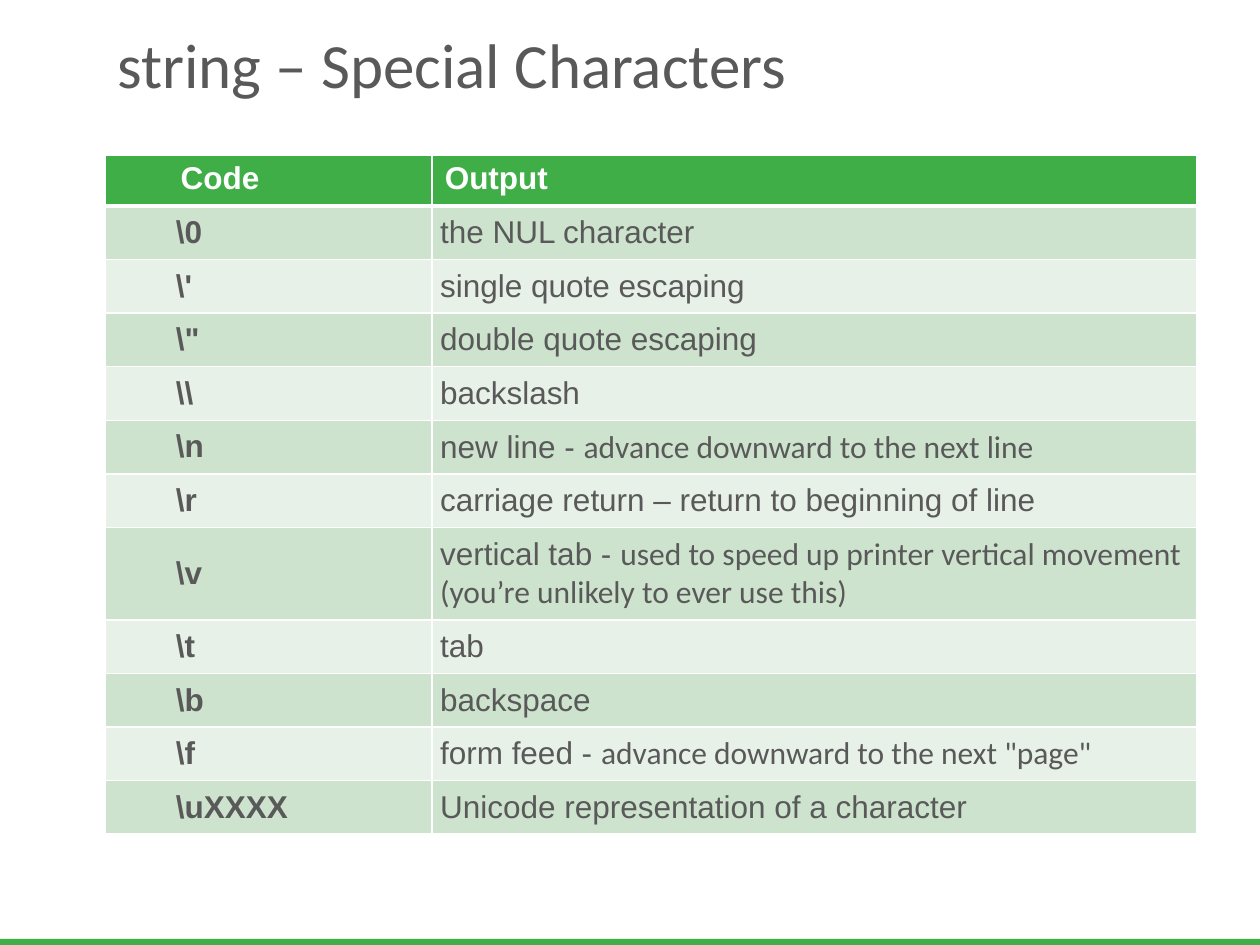
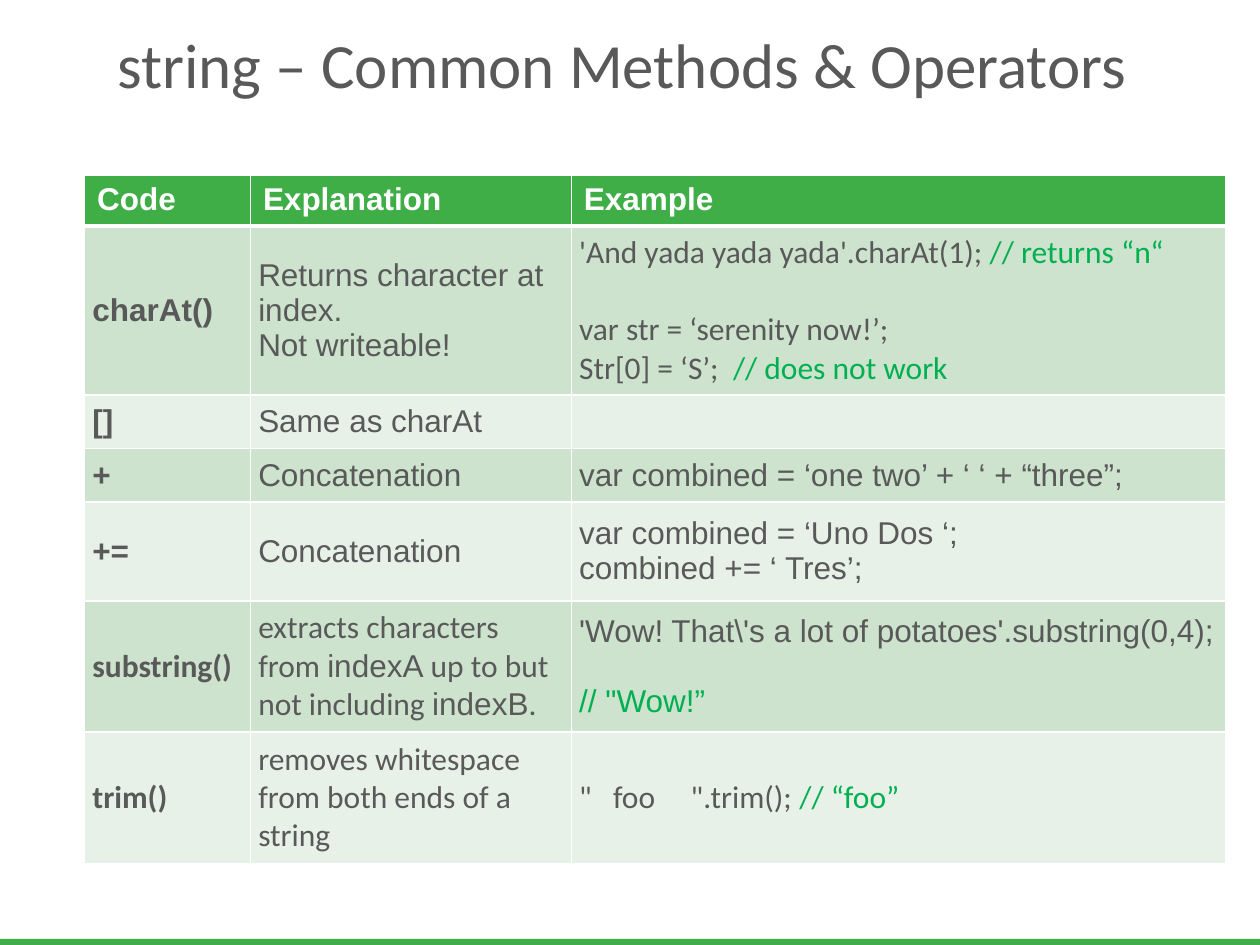
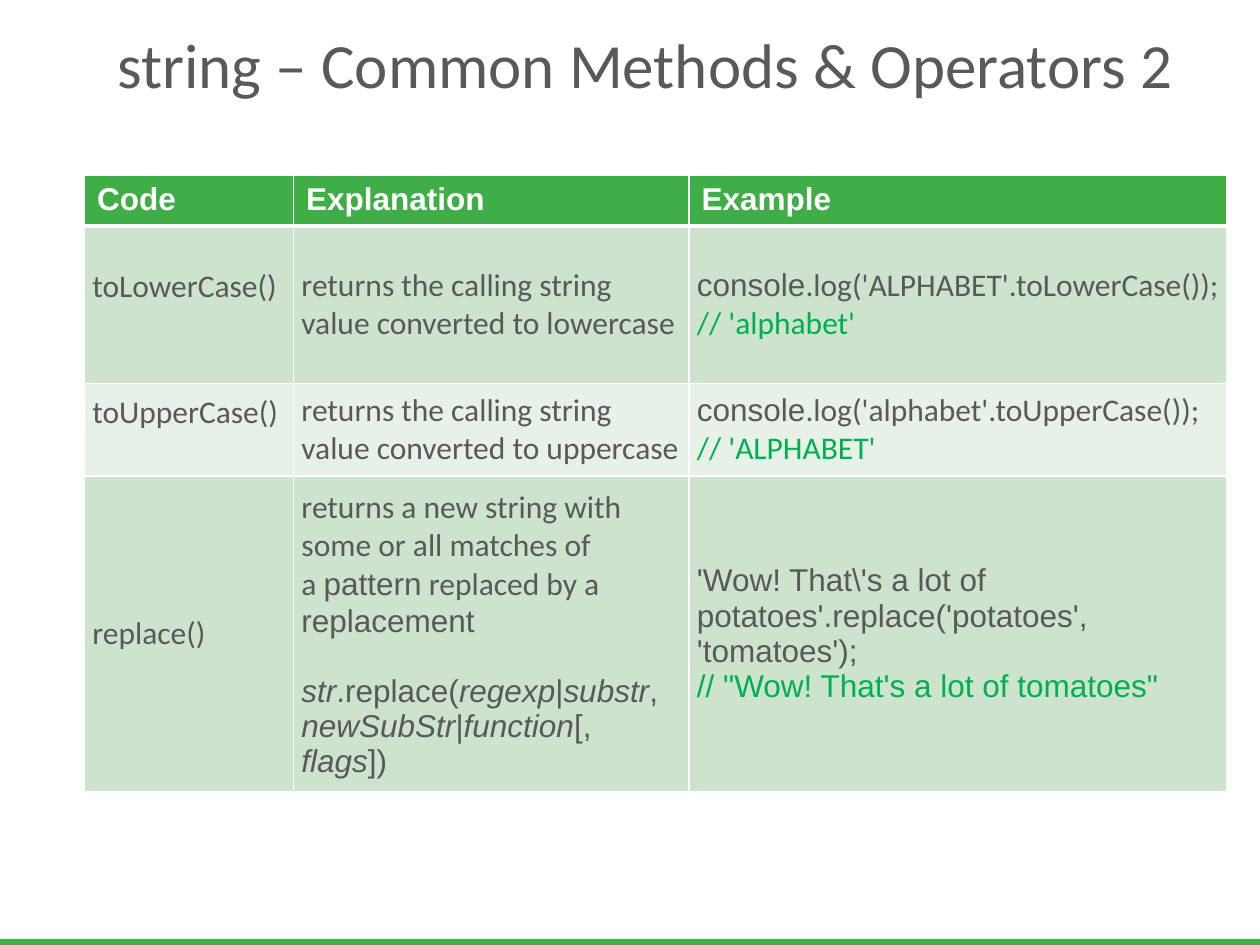
from lxml.etree import SubElement
from pptx import Presentation
from pptx.dml.color import RGBColor
from pptx.enum.shapes import MSO_SHAPE
from pptx.enum.text import MSO_ANCHOR
from pptx.oxml.ns import qn
from pptx.util import Pt

GREEN = RGBColor(0x3F, 0xAE, 0x47)
COMMENT_GREEN = RGBColor(0x00, 0xB0, 0x50)
GRAY = RGBColor(0x59, 0x59, 0x59)
WHITE = RGBColor(0xFF, 0xFF, 0xFF)
ROW_FILLS = (RGBColor(0xCD, 0xE3, 0xCE), RGBColor(0xE8, 0xF1, 0xE8))

ARIAL = dict(name="Arial", size=Pt(18), bold=False, color=GRAY)
BOLD = ARIAL | dict(bold=True)
ITALIC = ARIAL | dict(italic=True)
COMMENT = ARIAL | dict(color=COMMENT_GREEN)
HEADER = BOLD | dict(color=WHITE)
CALIBRI = ARIAL | dict(name="Calibri")
CALIBRI_BOLD = CALIBRI | dict(bold=True)
CALIBRI_COMMENT = CALIBRI | dict(color=COMMENT_GREEN)
TITLE = CALIBRI | dict(size=Pt(36))

HEADER_MARGIN, CELL_MARGIN = 3.6, 4.5
NBSP = chr(160)


def para(*runs, gap=0):
    """Runs are (text, style) pairs; gap is the space before in points."""
    return runs, gap


def cell(text, style=ARIAL):
    return [para((text, style))]


SPECIAL_CHARACTERS = [
    (cell(r"\0", BOLD), cell("the NUL character")),
    (cell(r"\'", BOLD), cell("single quote escaping")),
    (cell(r'\"', BOLD), cell("double quote escaping")),
    (cell("\\\\", BOLD), cell("backslash")),
    (cell(r"\n", BOLD), [para(("new line - ", ARIAL),
                              ("advance downward to the next line", CALIBRI))]),
    (cell(r"\r", BOLD), cell("carriage return – return to beginning of line")),
    (cell(r"\v", BOLD), [para(
        ("vertical tab - ", ARIAL),
        ("used to speed up printer vertical movement (you’re unlikely to ever use this)", CALIBRI))]),
    (cell(r"\t", BOLD), cell("tab")),
    (cell(r"\b", BOLD), cell("backspace")),
    (cell(r"\f", BOLD), [para(("form feed - ", ARIAL),
                              ('advance downward to the next "page"', CALIBRI))]),
    (cell(r"\uXXXX", BOLD), cell("Unicode representation of a character")),
]

METHODS = [
    (cell("charAt()", BOLD),
     cell("Returns character at index.") + cell("Not writeable!"),
     [para(("'And yada yada yada'.charAt(1); ", CALIBRI), ("// returns “n“", CALIBRI_COMMENT)),
      para(("var str = ‘serenity now!’;", CALIBRI), gap=22),
      para(("Str[0] = ‘S’;  ", CALIBRI), ("// does not work", CALIBRI_COMMENT))]),
    (cell("[]", BOLD), cell("Same as charAt"), []),
    (cell("+", BOLD), cell("Concatenation"), cell("var combined = ‘one two’ + ‘ ‘ + “three”;")),
    (cell("+=", BOLD), cell("Concatenation"),
     cell("var combined = ‘Uno Dos ‘;") + cell("combined += ‘ Tres’;")),
    (cell("substring()", CALIBRI_BOLD),
     [para((f"extracts characters from{NBSP}", CALIBRI), ("indexA", ARIAL),
           (f"{NBSP}up to but not including{NBSP}", CALIBRI), ("indexB", ARIAL), (".", CALIBRI))],
     [para((r"'Wow! That\'s a lot of potatoes'.substring(0,4);", ARIAL)),
      para(('// "Wow!”', COMMENT), gap=20)]),
    (cell("trim()", CALIBRI_BOLD),
     cell("removes whitespace from both ends of a string", CALIBRI),
     [para(('"   foo     ".trim(); ', CALIBRI), ("// “foo”", CALIBRI_COMMENT))]),
]


def case_row(method, case, before, after):
    return (cell(method, CALIBRI),
            cell(f"returns the calling string value converted to {case}", CALIBRI),
            [para(("console", ARIAL), (f".log('{before}'.{method});", CALIBRI)),
             para((f"// '{after}'", CALIBRI_COMMENT))])


METHODS_2 = [
    case_row("toLowerCase()", "lowercase", "ALPHABET", "alphabet"),
    case_row("toUpperCase()", "uppercase", "alphabet", "ALPHABET"),
    (cell("replace()", CALIBRI),
     [para((f"returns a new string with some or all matches of a{NBSP}", CALIBRI),
           ("pattern", ARIAL), (f"{NBSP}replaced by a ", CALIBRI), ("replacement", ARIAL)),
      para(("str", ITALIC), (".replace(", ARIAL), ("regexp", ITALIC), ("|", ARIAL),
           ("substr", ITALIC), (", ", ARIAL), ("newSubStr", ITALIC), ("|", ARIAL),
           ("function", ITALIC), ("[, ", ARIAL), ("flags", ITALIC), ("])", ARIAL), gap=20)],
     cell(r"'Wow! That\'s a lot of potatoes'.replace('potatoes', 'tomatoes');")
     + cell('// "Wow! That\'s a lot of tomatoes"', COMMENT)),
]

METHOD_HEADERS = ("Code", "Explanation", "Example")
# raised: body rows whose first cell sits above the middle
SLIDES = [
    dict(title="string – Special Characters", headers=("Code", "Output"),
         body=SPECIAL_CHARACTERS, at=(60, 88.6), widths=(187, 437),
         heights=[29.2] * 5 + [30.5, 29.2, 53, 29.2, 29.2, 30.5, 29.2], indent=36),
    dict(title="string – Common Methods & Operators", headers=METHOD_HEADERS,
         body=METHODS, at=(48.3, 100.3), widths=(94.8, 183.4, 373.8),
         heights=[26.5, 96.5, 29.2, 29.2, 56.6, 75, 75]),
    dict(title="string – Common Methods & Operators 2", headers=METHOD_HEADERS,
         body=METHODS_2, at=(48.3, 100.3), widths=(119.5, 226, 307.5),
         heights=[26.5, 90, 53, 175.4], raised=(1, 2)),
]


def style_run(r, style):
    for key, value in style.items():
        if key == "color":
            r.font.color.rgb = value
        else:
            setattr(r.font, key, value)


def write(tf, paragraphs, indent=0):
    for i, (runs, gap) in enumerate(paragraphs):
        p = tf.add_paragraph() if i else tf.paragraphs[0]
        if gap:
            p.space_before = Pt(gap)
        if indent:
            p.level = 1
            p_pr = p._p.get_or_add_pPr()
            p_pr.set("marL", str(Pt(indent)))
            p_pr.set("indent", "0")
        for text, style in runs:
            r = p.add_run()
            r.text = text
            style_run(r, style)


def add_borders(c, bottom):
    tc_pr = c._tc.get_or_add_tcPr()
    for i, (side, width) in enumerate(dict(lnL=1, lnR=1, lnT=1, lnB=bottom).items()):
        ln = SubElement(tc_pr, qn(f"a:{side}"), w=str(Pt(width)))
        fill = SubElement(ln, qn("a:solidFill"))
        SubElement(fill, qn("a:srgbClr"), val=str(WHITE))
        tc_pr.insert(i, ln)


def add_title(s, title):
    tf = s.shapes.add_textbox(Pt(60), Pt(0), Pt(624), Pt(72)).text_frame
    tf.word_wrap = True
    tf.vertical_anchor = MSO_ANCHOR.MIDDLE
    write(tf, cell(title, TITLE))


def add_bottom_band(s):
    sp = s.shapes.add_shape(MSO_SHAPE.RECTANGLE, Pt(0), Pt(536.5), Pt(720), Pt(3.5))
    sp.shadow.inherit = False
    sp.fill.solid()
    sp.fill.fore_color.rgb = GREEN
    sp.line.fill.background()


def add_code_table(s, headers, body, at, widths, heights, indent=0, raised=()):
    rows = [[cell(h, HEADER) for h in headers], *body]
    box = (*at, sum(widths), sum(heights))
    table = s.shapes.add_table(len(rows), len(widths), *map(Pt, box)).table
    for column, width in zip(table.columns, widths):
        column.width = Pt(width)
    for i, (row, height) in enumerate(zip(rows, heights)):
        table.rows[i].height = Pt(height)
        for j, paragraphs in enumerate(row):
            c = table.cell(i, j)
            margin = CELL_MARGIN if i and paragraphs else HEADER_MARGIN
            side = CELL_MARGIN if i else 7.2
            c.margin_left = c.margin_right = Pt(side)
            c.margin_top = c.margin_bottom = Pt(margin)
            if j == 0 and i in raised:
                c.margin_bottom = Pt(margin + 20)
            c.vertical_anchor = MSO_ANCHOR.MIDDLE if i else MSO_ANCHOR.TOP
            c.fill.solid()
            c.fill.fore_color.rgb = ROW_FILLS[(i - 1) % 2] if i else GREEN
            add_borders(c, bottom=1 if i else 3)
            write(c.text_frame, paragraphs, 0 if j else indent)


def main():
    prs = Presentation()
    prs.slide_width, prs.slide_height = Pt(720), Pt(540)
    for content in SLIDES:
        s = prs.slides.add_slide(prs.slide_layouts[6])
        add_bottom_band(s)
        add_title(s, content["title"])
        add_code_table(s, **{k: v for k, v in content.items() if k != "title"})
    prs.save("out.pptx")


if __name__ == "__main__":
    main()
